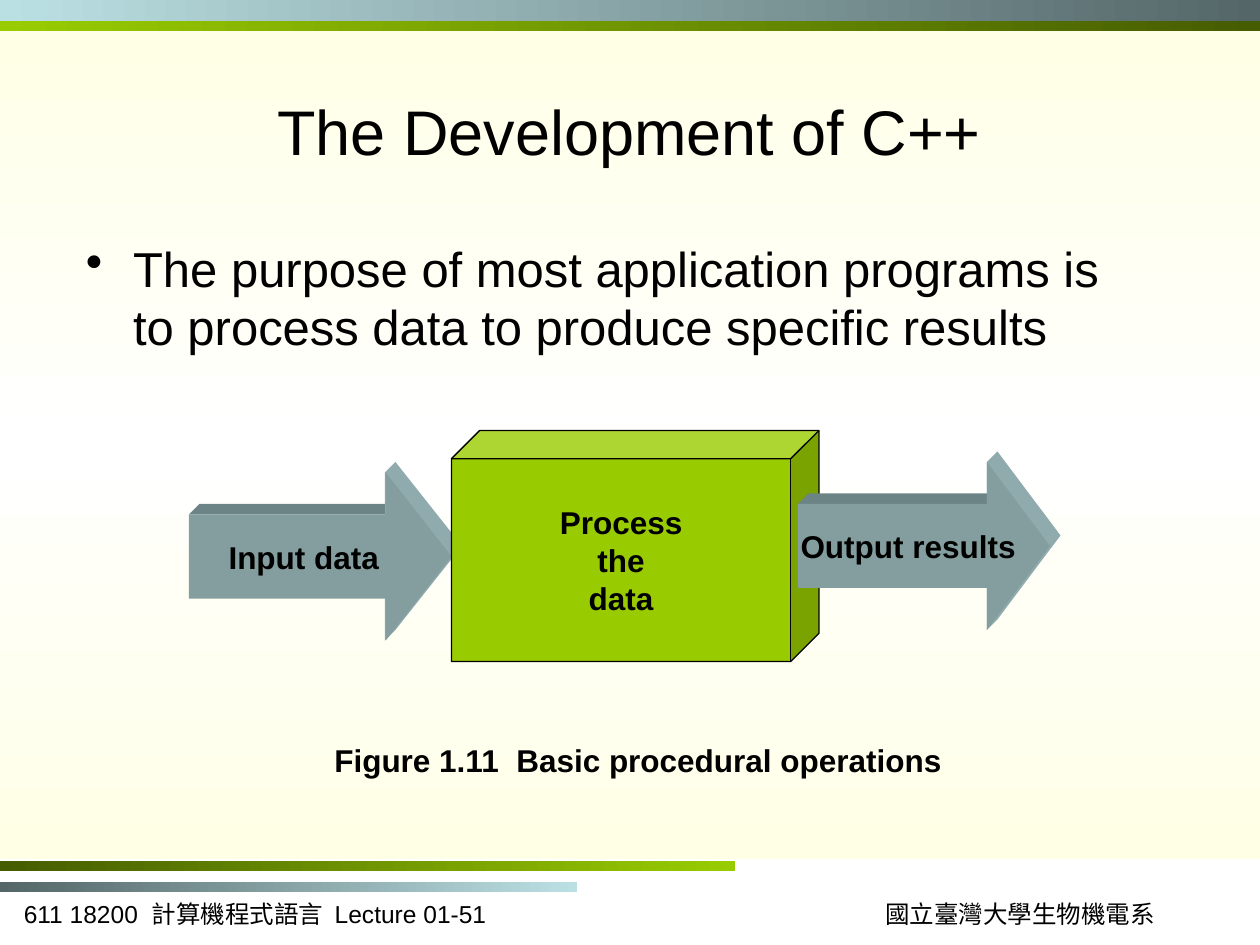
from copy import deepcopy

from lxml import etree
from pptx import Presentation
from pptx.dml.color import RGBColor
from pptx.enum.shapes import MSO_SHAPE
from pptx.enum.text import MSO_ANCHOR, PP_ALIGN
from pptx.oxml.ns import qn
from pptx.util import Pt

RECT, CUBE, ARROW = MSO_SHAPE.RECTANGLE, MSO_SHAPE.CUBE, MSO_SHAPE.RIGHT_ARROW
LEFT, MID = PP_ALIGN.LEFT, PP_ALIGN.CENTER
TOP, CENTER = MSO_ANCHOR.TOP, MSO_ANCHOR.MIDDLE
BLACK = RGBColor(0, 0, 0)
WHITE = RGBColor(255, 255, 255)
CREAM = RGBColor(0xFF, 0xFF, 0xE6)
LIME = RGBColor(0x99, 0xCC, 0x00)
OLIVE = RGBColor(0x45, 0x5C, 0x00)
SKY = RGBColor(0xBB, 0xE0, 0xE3)
SLATE = RGBColor(0x54, 0x66, 0x68)
FRONT = RGBColor(0x84, 0x9D, 0x9E)
SIDE = RGBColor(0x90, 0xAB, 0xAD)
SHADE = RGBColor(0x6D, 0x84, 0x86)
DEPTH = 5.7


def put_text(shape, text, size=18, font="Arial", bold=False, align=LEFT,
             anchor=TOP, wrap=False, space=0):
    frame = shape.text_frame
    frame.word_wrap = wrap
    frame.vertical_anchor = anchor
    frame.text = text
    for para in frame.paragraphs:
        para.alignment = align
        para.space_before = Pt(space)
        for run in para.runs:
            run.font.size = Pt(size)
            run.font.name = font
            run.font.bold = bold
            run.font.color.rgb = BLACK
    return frame


def add_label(slide, box, text, **form):
    return put_text(slide.shapes.add_textbox(*map(Pt, box)), text, **form)


def add_form(slide, kind, box):
    shape = slide.shapes.add_shape(kind, *map(Pt, box))
    shape.shadow.inherit = False
    shape.line.fill.background()
    return shape


def add_band(slide, box, start, end, angle=0, mirror=False):
    band = add_form(slide, RECT, box)
    band.fill.gradient()
    band.fill.gradient_angle = angle
    for stop, color in zip(band.fill.gradient_stops, (start, end)):
        stop.color.rgb = color
    if mirror:
        stops = next(band._element.iter(qn("a:gsLst")))
        stops[1].set("pos", "50000")
        last = deepcopy(stops[0])
        last.set("pos", "100000")
        stops.append(last)


def add_facet(slide, points, color):
    pen = slide.shapes.build_freeform(*points[0], scale=Pt(1))
    pen.add_line_segments(points[1:])
    facet = pen.convert_to_shape()
    facet.shadow.inherit = False
    facet.fill.solid()
    facet.fill.fore_color.rgb = color
    facet.line.fill.background()


def add_arrow(slide, box, text, head):
    left, top, width, height = box
    tip, end = left + width, top + height
    neck, roof = tip - head * height, top + height / 4
    add_facet(slide, [(neck, top), (neck + DEPTH, top - DEPTH),
                      (tip + DEPTH, top + height / 2 - DEPTH),
                      (neck + DEPTH, end - DEPTH), (neck, end)], SIDE)
    add_facet(slide, [(left, roof), (left + DEPTH, roof - DEPTH),
                      (neck, roof - DEPTH), (neck, roof)], SHADE)
    arrow = add_form(slide, ARROW, box)
    arrow.adjustments[1] = head
    arrow.fill.solid()
    arrow.fill.fore_color.rgb = FRONT
    put_text(arrow, text, bold=True, align=MID, anchor=CENTER)


def add_cube(slide, box, text):
    cube = add_form(slide, CUBE, box)
    cube.adjustments[0] = 0.122
    cube.fill.solid()
    cube.fill.fore_color.rgb = LIME
    cube.line.color.rgb = BLACK
    cube.line.width = Pt(0.75)
    put_text(cube, text, bold=True, align=MID, anchor=CENTER)


def add_frame(slide, width):
    add_band(slide, (0, 18, width, 473), CREAM, WHITE, 90, True)
    add_band(slide, (0, 12, width, 6), LIME, OLIVE)
    add_band(slide, (0, 0, width, 12), SKY, SLATE)
    add_band(slide, (0, 492, 420, 6), OLIVE, LIME)
    add_band(slide, (0, 504, 330, 6), SLATE, SKY)
    add_label(slide, (6.5, 510, 342, 24),
              "611 18200  計算機程式語言  Lecture 01-51", size=14)
    add_label(slide, (498, 510, 170, 24), "國立臺灣大學生物機電系",
              size=14, font="Times New Roman", align=MID)


def add_body(slide, box):
    frame = add_label(slide, box, "The purpose of most application programs is "
                      "to process data to produce specific results",
                      size=28, wrap=True, space=5.6)
    props = frame.paragraphs[0]._p.get_or_add_pPr()
    props.set("marL", str(Pt(27)))
    props.set("indent", str(Pt(-27)))
    etree.SubElement(props, qn("a:buChar")).set("char", "•")


def add_flow(slide, box):
    left, top, width, height = box
    add_arrow(slide, (left, top + 24, 150, 96), "Input data", 0.391)
    add_cube(slide, (left + 150, top, 210, height), "Process\nthe\ndata")
    add_arrow(slide, (left + width - 144, top + 18, 144, 96),
              "Output results", 0.375)


def main():
    deck = Presentation()
    deck.slide_width, deck.slide_height = Pt(720), Pt(540)
    slide = deck.slides.add_slide(deck.slide_layouts[6])
    add_frame(slide, 720)
    add_label(slide, (42, 30, 635, 89), "The Development of C++",
              size=36, align=MID, anchor=CENTER, wrap=True)
    add_body(slide, (42, 132.5, 606, 335.5))
    add_label(slide, (184, 420, 365, 29.5),
              "Figure 1.11  Basic procedural operations", bold=True)
    add_flow(slide, (108, 246, 492, 132))
    deck.save("out.pptx")


if __name__ == "__main__":
    main()
